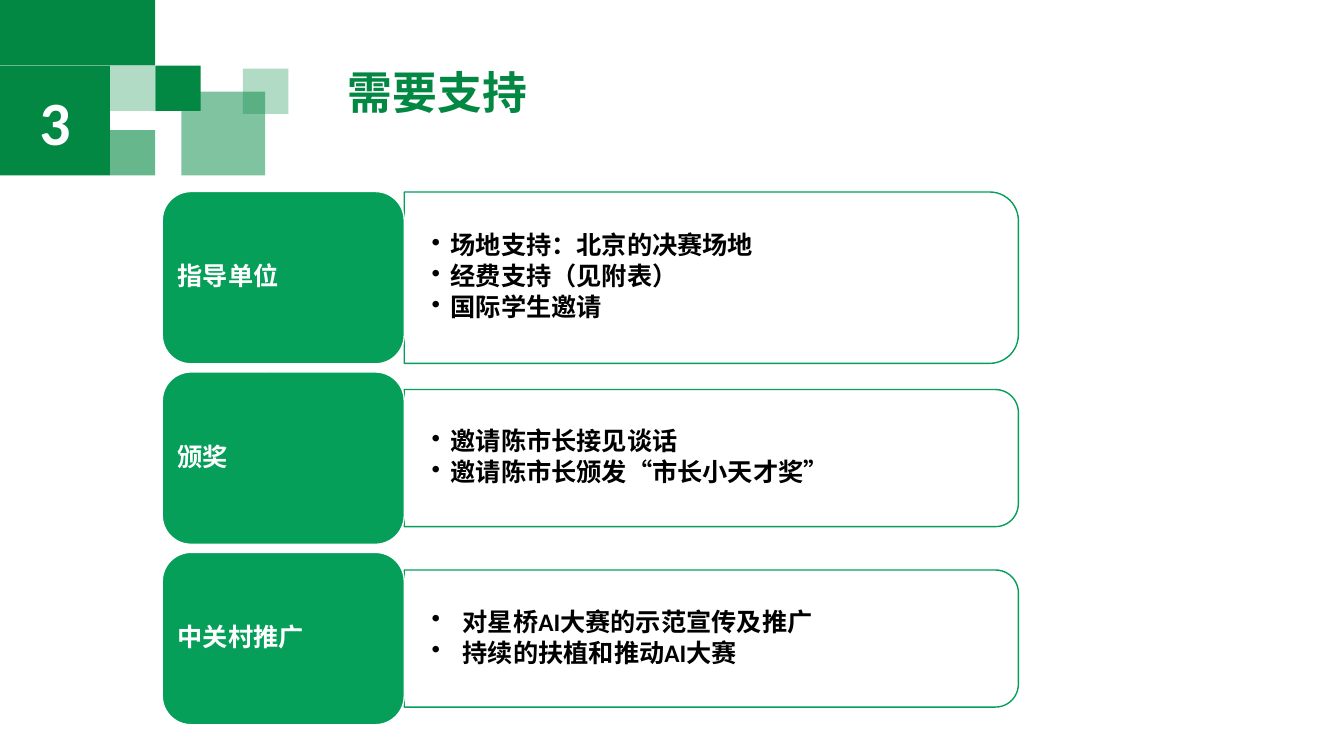
from dataclasses import dataclass

from lxml.etree import SubElement
from pptx import Presentation
from pptx.dml.color import RGBColor
from pptx.enum.shapes import MSO_SHAPE
from pptx.enum.text import MSO_ANCHOR, MSO_AUTO_SIZE, PP_ALIGN
from pptx.oxml.ns import qn
from pptx.util import Pt


@dataclass(frozen=True)
class Theme:
    """Colours, font and type sizes of the deck."""
    brand: str = "028842"
    label: str = "059F59"
    white: str = "FFFFFF"
    ink: str = "000000"
    font: str = "Calibri"
    title_size: int = 32
    number_size: int = 44
    text_size: int = 18


THEME = Theme()
EMU_PER_PX = 9144
MOSAIC = [
    (0, 0, 154, 65, 100),
    (109, 65, 45, 45, 30),
    (154, 65, 45, 45, 100),
    (109, 129, 45, 45, 60),
    (180, 91, 83, 83, 50),
    (241, 68, 45, 45, 30),
]
SUPPORT_ROWS = [
    ("指导单位", 170, 19, ["场地支持：北京的决赛场地", "经费支持（见附表）", "国际学生邀请"]),
    ("颁奖", 136, 19, ["邀请陈市长接见谈话", "邀请陈市长颁发“市长小天才奖”"]),
    ("中关村推广", 136, 31, ["对星桥AI大赛的示范宣传及推广", "持续的扶植和推动AI大赛"]),
]


def px(length):
    """Turn px into EMU."""
    return round(length * EMU_PER_PX)


def add_block(page, kind, box, fill, line=None, opacity=100):
    """Add a flat preset shape in the given box."""
    block = page.shapes.add_shape(kind, *map(px, box))
    block.shadow.inherit = False
    block.fill.solid()
    block.fill.fore_color.rgb = RGBColor.from_string(fill)
    if line:
        block.line.color.rgb = RGBColor.from_string(line)
        block.line.width = Pt(1)
    else:
        block.line.fill.background()
    if opacity < 100:
        color = block.fill._xPr.find(".//" + qn("a:srgbClr"))
        SubElement(color, qn("a:alpha"), val=str(opacity * 1000))
    return block


def set_frame(frame, anchor, side, top):
    """Set wrapping, anchor and margins of a text frame."""
    frame.word_wrap = True
    frame.auto_size = MSO_AUTO_SIZE.NONE
    frame.vertical_anchor = anchor
    frame.margin_left = frame.margin_right = px(side)
    frame.margin_top = frame.margin_bottom = px(top)


def write(para, text, size, color, align=PP_ALIGN.LEFT, spacing=0.9, after=0, indent=0):
    """Write one bold run, with a bullet when there is an indent."""
    para.alignment = align
    para.line_spacing = spacing
    properties = para._p.get_or_add_pPr()
    if after:
        space = SubElement(properties, qn("a:spcAft"))
        SubElement(space, qn("a:spcPct"), val=str(after * 1000))
    if indent:
        properties.set("marL", str(px(indent)))
        properties.set("indent", str(-px(indent)))
        SubElement(properties, qn("a:buChar"), char="•")
    span = para.add_run()
    span.text = text
    span.font.name = THEME.font
    span.font.size = Pt(size)
    span.font.bold = True
    span.font.color.rgb = RGBColor.from_string(color)


def add_header(page, box, title, number):
    """Place the square mosaic, section number and title."""
    left, top, width, height = box
    for x, y, wide, high, opacity in MOSAIC:
        add_block(page, MSO_SHAPE.RECTANGLE, (left + x, top + y, wide, high),
                  THEME.brand, opacity=opacity)
    badge = add_block(page, MSO_SHAPE.RECTANGLE,
                      (left, top + height - 109, 109, 109), THEME.brand)
    set_frame(badge.text_frame, MSO_ANCHOR.MIDDLE, 10, 5)
    write(badge.text_frame.paragraphs[0], number, THEME.number_size, THEME.white,
          PP_ALIGN.CENTER, spacing=1)
    heading = page.shapes.title
    heading.left, heading.top = px(left + 335), px(top + 65)
    heading.width, heading.height = px(width - 487), px(60)
    set_frame(heading.text_frame, MSO_ANCHOR.TOP, 10, 5)
    write(heading.text_frame.paragraphs[0], title, THEME.title_size, THEME.brand)


def add_support_row(page, box, label, panel_height, indent, items):
    """Place a label block and its bulleted panel side by side."""
    left, top, width, height = box
    label_width = 240
    panel_left, panel_width = left + label_width, width - label_width
    center_x, center_y = panel_left + panel_width / 2, top + height / 2
    panel = add_block(page, MSO_SHAPE.ROUND_2_SAME_RECTANGLE,
                      (center_x - panel_height / 2, center_y - panel_width / 2,
                       panel_height, panel_width), THEME.white, THEME.label)
    panel.rotation = 90
    text_height = round(panel_height * 0.9)
    body = page.shapes.add_textbox(px(panel_left), px(center_y - text_height / 2),
                                   px(panel_width - 8), px(text_height)).text_frame
    set_frame(body, MSO_ANCHOR.MIDDLE, 27, 14)
    for index, item in enumerate(items):
        para = body.add_paragraph() if index else body.paragraphs[0]
        write(para, item, THEME.text_size, THEME.ink, after=15, indent=indent)
    block = add_block(page, MSO_SHAPE.ROUNDED_RECTANGLE,
                      (left, top, label_width, height), THEME.label, THEME.white)
    set_frame(block.text_frame, MSO_ANCHOR.MIDDLE, 7, 4)
    write(block.text_frame.paragraphs[0], label, THEME.text_size, THEME.white, after=35)


def add_support_list(page, box):
    """Stack the support rows with equal gaps."""
    left, top, width, height = box
    gap = 8
    row_height = (height - gap * (len(SUPPORT_ROWS) - 1)) / len(SUPPORT_ROWS)
    for index, row in enumerate(SUPPORT_ROWS):
        row_top = top + index * (row_height + gap)
        add_support_row(page, (left, row_top, width, row_height), *row)


def main():
    """Build and save the deck."""
    deck = Presentation()
    deck.slide_width, deck.slide_height = px(1333), px(750)
    page = deck.slides.add_slide(deck.slide_layouts[5])
    add_header(page, (0, 0, 1333, 174), "需要支持", "3")
    add_support_list(page, (161, 190, 849, 529))
    deck.save("out.pptx")


if __name__ == "__main__":
    main()
